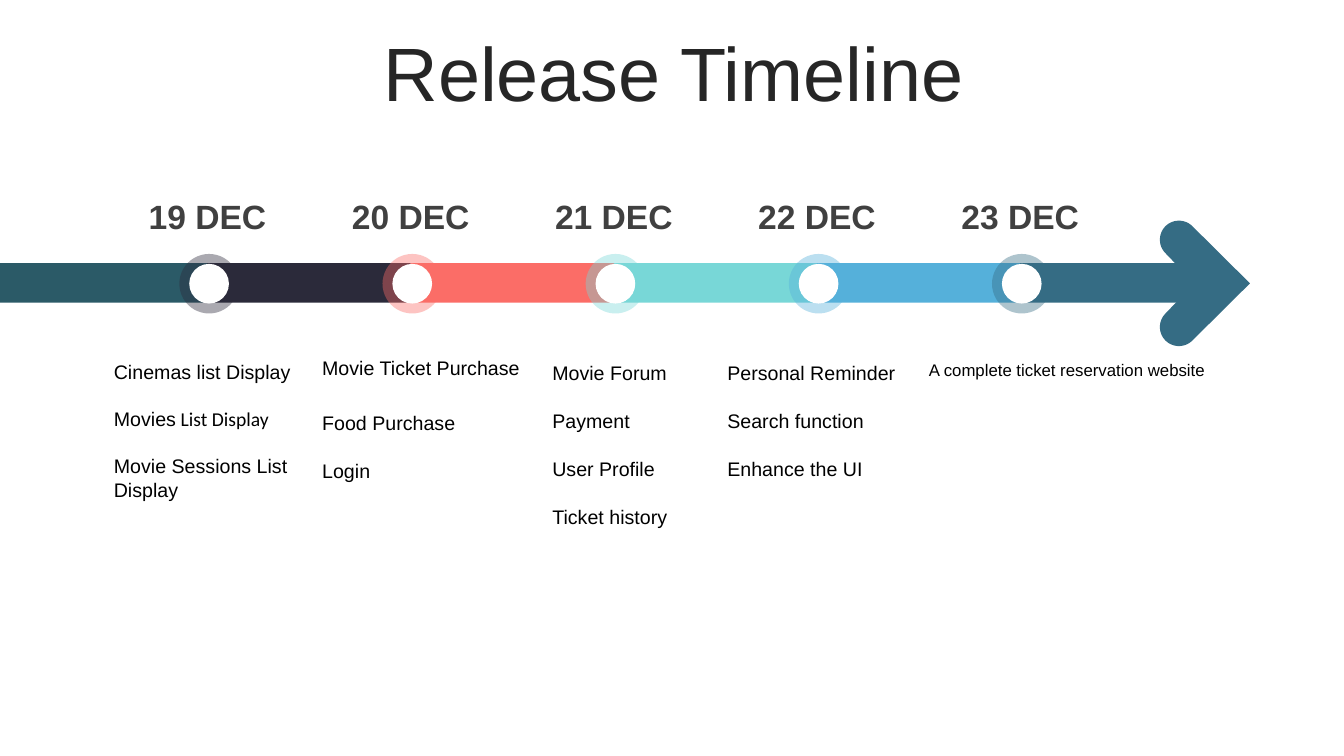
import math

import lxml.etree
import pptx
import pptx.dml.color
import pptx.enum.shapes
import pptx.enum.text
import pptx.oxml.ns
import pptx.util

Cm = pptx.util.Cm
Pt = pptx.util.Pt
SHAPES = pptx.enum.shapes.MSO_SHAPE
ALIGN = pptx.enum.text.PP_ALIGN
ANCHOR = pptx.enum.text.MSO_ANCHOR

# Content
TITLE = "Release Timeline"
LEAD_COLOR = "2B5A67"
STAGES = [
    ("19 DEC", "2B2A3A"),
    ("20 DEC", "FB6D67"),
    ("21 DEC", "78D7D7"),
    ("22 DEC", "55B0DA"),
    ("23 DEC", "356C84"),
]
# Each column: box in cm, text size, items as (text, gap before in pt)
COLUMNS = [
    ((2.62, 8.94, 6.2, 3.84), 14, [
        ("Cinemas list Display", 0),
        ((("Movies", "Arial"), (" List Display", "Calibri")), 17),
        ("Movie Sessions List Display", 17),
    ]),
    ((7.87, 8.84, 6.63, 3.43), 14, [
        ("Movie Ticket Purchase", 0), ("Food Purchase", 22.5), ("Login", 17.5),
    ]),
    ((13.67, 8.97, 5.08, 4.45), 14, [
        ("Movie Forum", 0), ("Payment", 17.5),
        ("User Profile", 17.5), ("Ticket history", 17.5),
    ]),
    ((18.08, 8.97, 5.08, 3.84), 14, [
        ("Personal Reminder", 0), ("Search function", 17.5), ("Enhance the UI", 17.5),
    ]),
    ((23.16, 8.94, 7.47, 1.27), 12, [("A complete ticket reservation website", 0)]),
]

# Timeline geometry in cm
FIRST_STOP, PITCH = 5.23, 5.12
BAR_TOP, BAR_HEIGHT = 6.63, 1.0
RING_TOP, RING_SIZE, DOT_SIZE = 6.4, 1.5, 1.0
DATE_TOP, DATE_WIDTH, DATE_HEIGHT = 4.8, 3.75, 1.27
TIP_X, NOTCH_X, ARROW_Y = 31.5, 30.1, 7.14
ARM_X, ARM_OFFSET, ARM_RADIUS = 29.71, 1.1, 0.48

deck = pptx.Presentation()
deck.slide_width, deck.slide_height = Cm(33.87), Cm(19.05)
page = deck.slides.add_slide(deck.slide_layouts[6])


def rgb(value):
    return pptx.dml.color.RGBColor.from_string(value)


def paint(shape, color, opacity=100):
    shape.shadow.inherit = False
    shape.fill.solid()
    shape.fill.fore_color.rgb = rgb(color)
    shape.line.fill.background()
    if opacity < 100:
        tone = shape.fill._xPr.find(".//" + pptx.oxml.ns.qn("a:srgbClr"))
        alpha = lxml.etree.SubElement(tone, pptx.oxml.ns.qn("a:alpha"))
        alpha.set("val", str(opacity * 1000))


def add_block(kind, left, top, width, height, color, opacity=100):
    shape = page.shapes.add_shape(kind, Cm(left), Cm(top), Cm(width), Cm(height))
    paint(shape, color, opacity)


def add_text(items, bounds, size, color="000000", bold=False,
             align=ALIGN.LEFT, anchor=ANCHOR.TOP, spacing=1.0):
    box = page.shapes.add_textbox(*(Cm(length) for length in bounds))
    frame = box.text_frame
    frame.word_wrap = True
    frame.vertical_anchor = anchor
    for index, (content, gap) in enumerate(items):
        para = frame.add_paragraph() if index else frame.paragraphs[0]
        para.alignment = align
        para.line_spacing = spacing
        if gap:
            para.space_before = Pt(gap)
        spans = ((content, "Arial"),) if isinstance(content, str) else content
        for text, font in spans:
            span = para.add_run()
            span.text = text
            span.font.name = font
            span.font.size = Pt(size)
            span.font.bold = bold
            span.font.color.rgb = rgb(color)


def arc(center_y, start, end, steps=30):
    angles = [math.radians(start + (end - start) * i / steps) for i in range(steps + 1)]
    return [(Cm(ARM_X + ARM_RADIUS * math.cos(angle)),
             Cm(center_y + ARM_RADIUS * math.sin(angle))) for angle in angles]


# Title
add_text([(TITLE, 0)], (0.89, 0.94, 32.16, 2.0), 54, color="262626",
         align=ALIGN.CENTER, anchor=ANCHOR.MIDDLE, spacing=0.9)

# Bars
stops = [FIRST_STOP + PITCH * index for index in range(len(STAGES))]
add_block(SHAPES.RECTANGLE, 0, BAR_TOP, FIRST_STOP + 0.05, BAR_HEIGHT, LEAD_COLOR)
for stop, (date, color) in zip(stops, STAGES):
    add_block(SHAPES.RECTANGLE, stop, BAR_TOP, PITCH, BAR_HEIGHT, color)

# Arrowhead with rounded arms
outline = (arc(ARROW_Y - ARM_OFFSET, 135, 315) + [(Cm(TIP_X), Cm(ARROW_Y))]
           + arc(ARROW_Y + ARM_OFFSET, 45, 225) + [(Cm(NOTCH_X), Cm(ARROW_Y))])
builder = page.shapes.build_freeform(*outline[0], scale=1.0)
builder.add_line_segments(outline[1:], close=True)
paint(builder.convert_to_shape(), STAGES[-1][1])

# Markers and dates
for stop, (date, color) in zip(stops, STAGES):
    ring_left = stop + 0.04 - RING_SIZE / 2
    inset = (RING_SIZE - DOT_SIZE) / 2
    add_block(SHAPES.OVAL, ring_left, RING_TOP, RING_SIZE, RING_SIZE, color, 40)
    add_block(SHAPES.OVAL, ring_left + inset, RING_TOP + inset, DOT_SIZE, DOT_SIZE, "FFFFFF")
    add_text([(date, 0)], (stop - DATE_WIDTH / 2, DATE_TOP, DATE_WIDTH, DATE_HEIGHT), 24,
             color="404040", bold=True, align=ALIGN.CENTER)

# Release contents
for bounds, size, items in COLUMNS:
    add_text(items, bounds, size)

deck.save("out.pptx")
